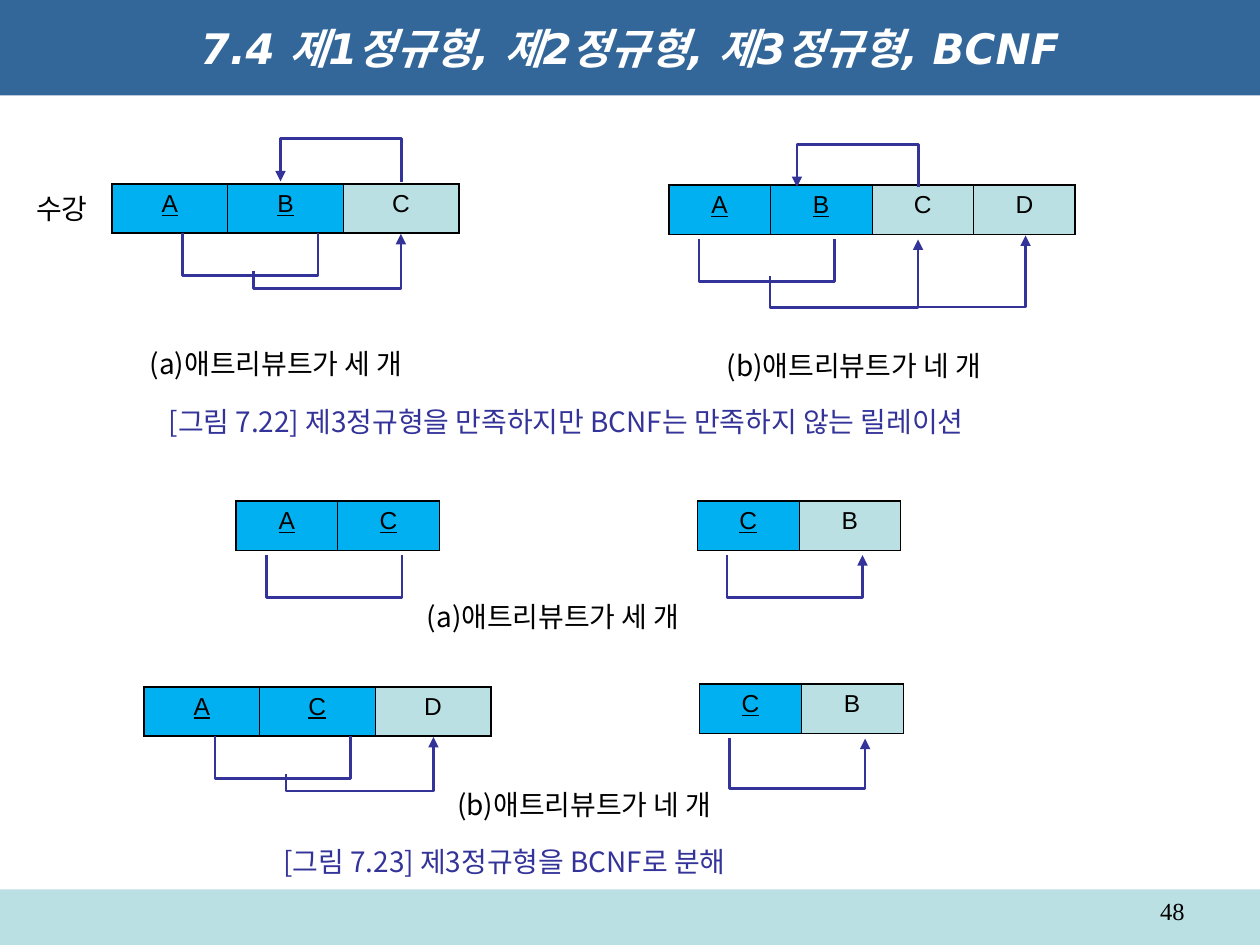
from pptx import Presentation
from pptx.dml.color import RGBColor
from pptx.enum.shapes import MSO_CONNECTOR, MSO_SHAPE
from pptx.enum.text import MSO_ANCHOR, MSO_AUTO_SIZE, PP_ALIGN
from pptx.oxml.ns import qn
from pptx.util import Pt
from lxml import etree

ELBOW = MSO_CONNECTOR.ELBOW
RECT = MSO_SHAPE.RECTANGLE
MIDDLE, TOP = MSO_ANCHOR.MIDDLE, MSO_ANCHOR.TOP
LEFT, CENTER, RIGHT = PP_ALIGN.LEFT, PP_ALIGN.CENTER, PP_ALIGN.RIGHT
FIT, FIXED = MSO_AUTO_SIZE.SHAPE_TO_FIT_TEXT, MSO_AUTO_SIZE.NONE

BLACK = RGBColor(0, 0, 0)
WHITE = RGBColor(255, 255, 255)
BLUE = RGBColor(0x33, 0x66, 0x99)
PALE = RGBColor(0xBB, 0xE0, 0xE3)
SKY = RGBColor(0x00, 0xB0, 0xF0)
NAVY = RGBColor(0x33, 0x33, 0x99)
SANS, KOREAN = "Noto Sans CJK JP", "Noto Sans CJK KR"
THICK, THIN = 1.08, 0.45


def add_run(para, text, size, face, color, align=LEFT, asian=None):
    para.alignment = align
    run = para.add_run()
    run.text = text
    font = run.font
    font.size, font.name = Pt(size), face
    font.color.rgb = color
    if asian:
        etree.SubElement(run._r.get_or_add_rPr(), qn("a:ea"), typeface=asian)
    return font


def add_edge(props, side, width):
    edge = etree.SubElement(props, qn("a:ln" + side), w=str(Pt(width)))
    fill = etree.SubElement(edge, qn("a:solidFill"))
    etree.SubElement(fill, qn("a:srgbClr"), val=str(BLACK))


prs = Presentation()
prs.slide_width, prs.slide_height = Pt(720), Pt(540)
slide = prs.slides.add_slide(prs.slide_layouts[5])
shapes = slide.shapes

# Title band
title = shapes.title
title.left, title.top, title.width, title.height = Pt(0), Pt(0), Pt(720), Pt(54.6)
title.fill.solid()
title.fill.fore_color.rgb = BLUE
frame = title.text_frame
frame.auto_size, frame.vertical_anchor = FIXED, MIDDLE
font = add_run(frame.paragraphs[0], "7.4 제1정규형, 제2정규형, 제3정규형, BCNF",
               24, "DejaVu Sans", WHITE, CENTER, KOREAN)
font.bold = font.italic = True

# Footer band
band = shapes.add_shape(RECT, Pt(0), Pt(508.2), Pt(720), Pt(31.8))
band.shadow.inherit = False
band.fill.solid()
band.fill.fore_color.rgb = PALE
band.line.fill.background()

# Page number
box = shapes.add_textbox(Pt(516), Pt(508.2), Pt(168), Pt(21))
box.text_frame.word_wrap = True
add_run(box.text_frame.paragraphs[0], "48", 14, "Times New Roman", BLACK, RIGHT)

# Relations: left, top, column width, keys, other columns, end edges
grids = [
    (64, 105.1, 66.1, "AB", "C", THICK, THICK),
    (382.1, 105.8, 58.1, "AB", "CD", THICK, THICK),
    (134.9, 286.3, 58.1, "AC", "", THICK, THIN),
    (398.5, 286.3, 58.1, "C", "B", THIN, THIN),
    (82.2, 392.4, 66.1, "AC", "D", THICK, THICK),
    (399.8, 391, 58.1, "C", "B", THIN, THIN),
]
for left, top, wide, keys, rest, first, last in grids:
    names = keys + rest
    count = len(names)
    table = shapes.add_table(1, count, Pt(left), Pt(top),
                             Pt(wide * count), Pt(28.2)).table
    table.first_row = table.horz_banding = False
    for i, name in enumerate(names):
        table.columns[i].width = Pt(wide)
        cell = table.cell(0, i)
        font = add_run(cell.text_frame.paragraphs[0], name, 14, "Arial",
                       BLACK, CENTER)
        font.underline = i < len(keys)
        props = cell._tc.get_or_add_tcPr()
        add_edge(props, "L", first if i == 0 else THIN)
        add_edge(props, "R", last if i == count - 1 else THIN)
        add_edge(props, "T", THICK)
        add_edge(props, "B", THICK)
        cell.fill.solid()
        cell.fill.fore_color.rgb = SKY if i < len(keys) else PALE

# Dependencies: start x, start y, end x, end y, level of the turn, arrow
links = [
    (104.3, 133.2, 181.7, 133.2, 157.7, False),
    (144.9, 154.9, 229.1, 133.7, 164.9, True),
    (229.4, 103.8, 160.3, 103.8, 79.1, True),
    (399.4, 136.6, 476.9, 136.6, 161.1, False),
    (440, 158, 524.6, 136.9, 175.7, True),
    (524.9, 107, 455.4, 107, 82.6, True),
    (440, 158, 586, 134.6, 175.4, True),
    (152.3, 317.2, 229.7, 317.2, 341.7, False),
    (415.4, 317.2, 492.9, 317.2, 341.7, True),
    (122.9, 420.6, 200.3, 420.6, 445.1, False),
    (163.4, 442.3, 247.7, 421.2, 452, True),
    (416.9, 422, 494.3, 422, 450.6, True),
]
for x1, y1, x2, y2, turn, arrow in links:
    # The elbow is laid on its side, so its width spans the rise
    rise, span = max(abs(y2 - y1), 0.17), abs(x2 - x1)
    left, top = (x1 + x2 - rise) / 2, (y1 + y2 - span) / 2
    right, low = left + rise, top + span
    bend = abs(turn - y1) / rise
    if x2 < x1:
        angle, ends = 270, (left, low, right, top)
    elif y2 < y1:
        angle, ends, bend = 90, (right, low, left, top), -bend
    else:
        angle, ends = 270, (right, top, left, low)
    link = shapes.add_connector(ELBOW, *[Pt(v) for v in ends])
    link.line.color.rgb = NAVY
    link.line.width = Pt(1.5)
    props = link._element.spPr
    props.find(qn("a:xfrm")).set("rot", str(angle * 60000))
    geom = props.find(qn("a:prstGeom"))
    etree.SubElement(geom.find(qn("a:avLst")), qn("a:gd"), name="adj1",
                     fmla=f"val {round(bend * 100000)}")
    if arrow:
        etree.SubElement(props.find(qn("a:ln")), qn("a:tailEnd"), type="triangle")
    etree.SubElement(props, qn("a:effectLst"))

# Labels and captions
three, four = "(a)애트리뷰트가 세 개", "(b)애트리뷰트가 네 개"
labels = [
    ("수강", 13.7, 105.8, 45.4, SANS, BLACK, TOP),
    (three, 78.5, 194.4, 170, SANS, BLACK, TOP),
    (four, 408.2, 195.8, 170.6, SANS, BLACK, TOP),
    ("[그림 7.22] 제3정규형을 만족하지만 BCNF는 만족하지 않는 릴레이션",
     89.3, 227.5, 522.7, KOREAN, NAVY, MIDDLE),
    (three, 236.9, 339.1, 170, SANS, BLACK, TOP),
    (four, 254.2, 446.4, 170.6, SANS, BLACK, TOP),
    ("[그림 7.23] 제3정규형을 BCNF로 분해",
     154.8, 478.8, 307.4, KOREAN, NAVY, MIDDLE),
]
for text, left, top, wide, face, color, anchor in labels:
    box = shapes.add_textbox(Pt(left), Pt(top), Pt(wide), Pt(26.6))
    frame = box.text_frame
    frame.word_wrap, frame.auto_size = False, FIT
    frame.vertical_anchor = anchor
    add_run(frame.paragraphs[0], text, 16, face, color, asian=face)

prs.save("out.pptx")
